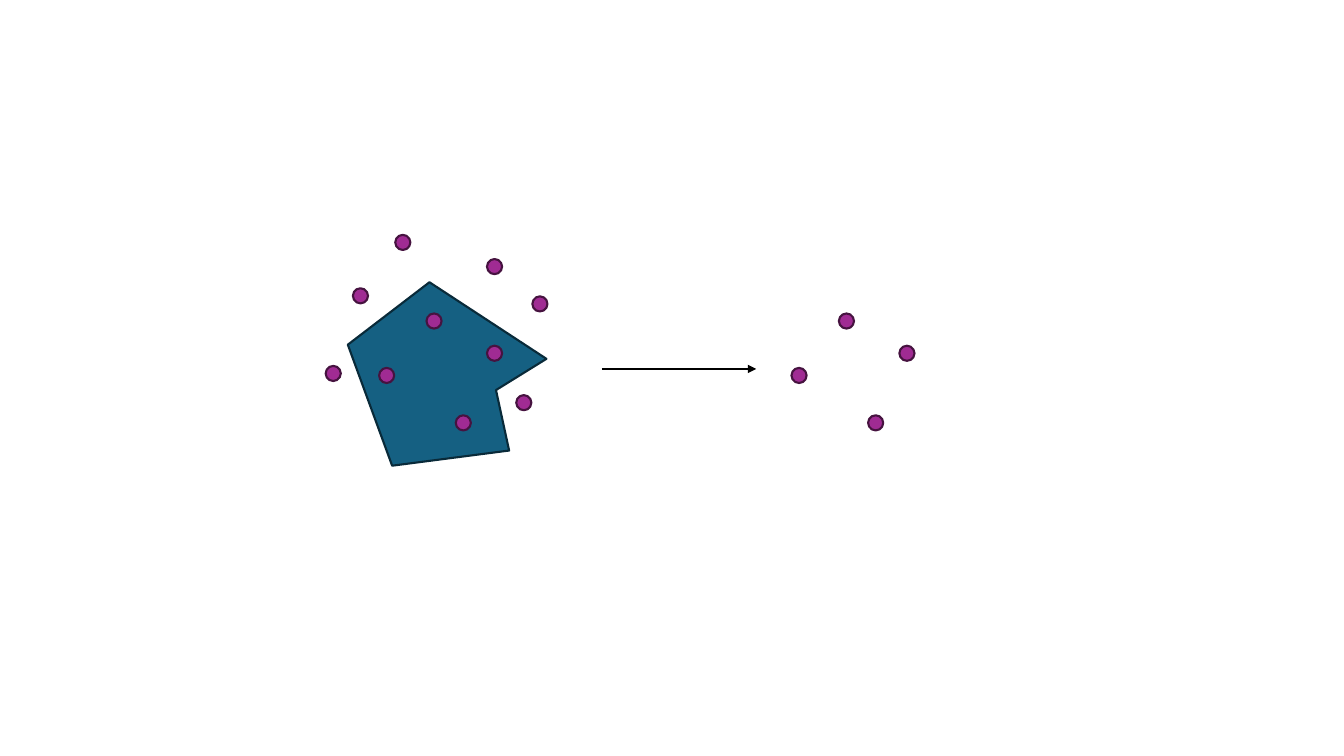
from lxml import etree
from pptx import Presentation
from pptx.dml.color import RGBColor
from pptx.enum.shapes import MSO_CONNECTOR, MSO_SHAPE
from pptx.oxml.ns import qn
from pptx.util import Inches, Pt

OVAL = MSO_SHAPE.OVAL
STRAIGHT = MSO_CONNECTOR.STRAIGHT
DOT_SIZE = 0.15
RESULT_SHIFT = 4.09


def color(hex_string):
    return RGBColor.from_string(hex_string)


def paint(shape, fill, outline):
    shape.shadow.inherit = False
    shape.fill.solid()
    shape.fill.fore_color.rgb = color(fill)
    shape.line.color.rgb = color(outline)
    shape.line.width = Pt(1.5)


prs = Presentation()
prs.slide_width = Inches(13.33)
prs.slide_height = Inches(7.5)
slide = prs.slides.add_slide(prs.slide_layouts[6])

corners = [(4.26, 2.8), (3.45, 3.42), (3.89, 4.62), (5.05, 4.47), (4.92, 3.87), (5.42, 3.56)]
corners = [(Inches(x), Inches(y)) for x, y in corners]
outline = slide.shapes.build_freeform(*corners[0])
outline.add_line_segments(corners[1:], close=True)
region = outline.convert_to_shape()
paint(region, "156082", "092A39")

outside = [(3.92, 2.33), (4.83, 2.57), (3.5, 2.86), (5.28, 2.94), (5.12, 3.92), (3.23, 3.63)]
inside = [(4.23, 3.11), (3.76, 3.65), (4.83, 3.43), (4.52, 4.12)]
clipped = [(x + RESULT_SHIFT, y) for x, y in inside]

for x, y in outside + inside + clipped:
    dot = slide.shapes.add_shape(OVAL, Inches(x), Inches(y), Inches(DOT_SIZE), Inches(DOT_SIZE))
    paint(dot, "A02B93", "461340")

arrow = slide.shapes.add_connector(STRAIGHT, Inches(5.97), Inches(3.66), Inches(7.5), Inches(3.66))
arrow.line.color.rgb = color("000000")
arrow.line.width = Pt(1.5)
etree.SubElement(arrow.line._get_or_add_ln(), qn("a:tailEnd"), type="triangle")
etree.SubElement(arrow._element.spPr, qn("a:effectLst"))

prs.save("out.pptx")
